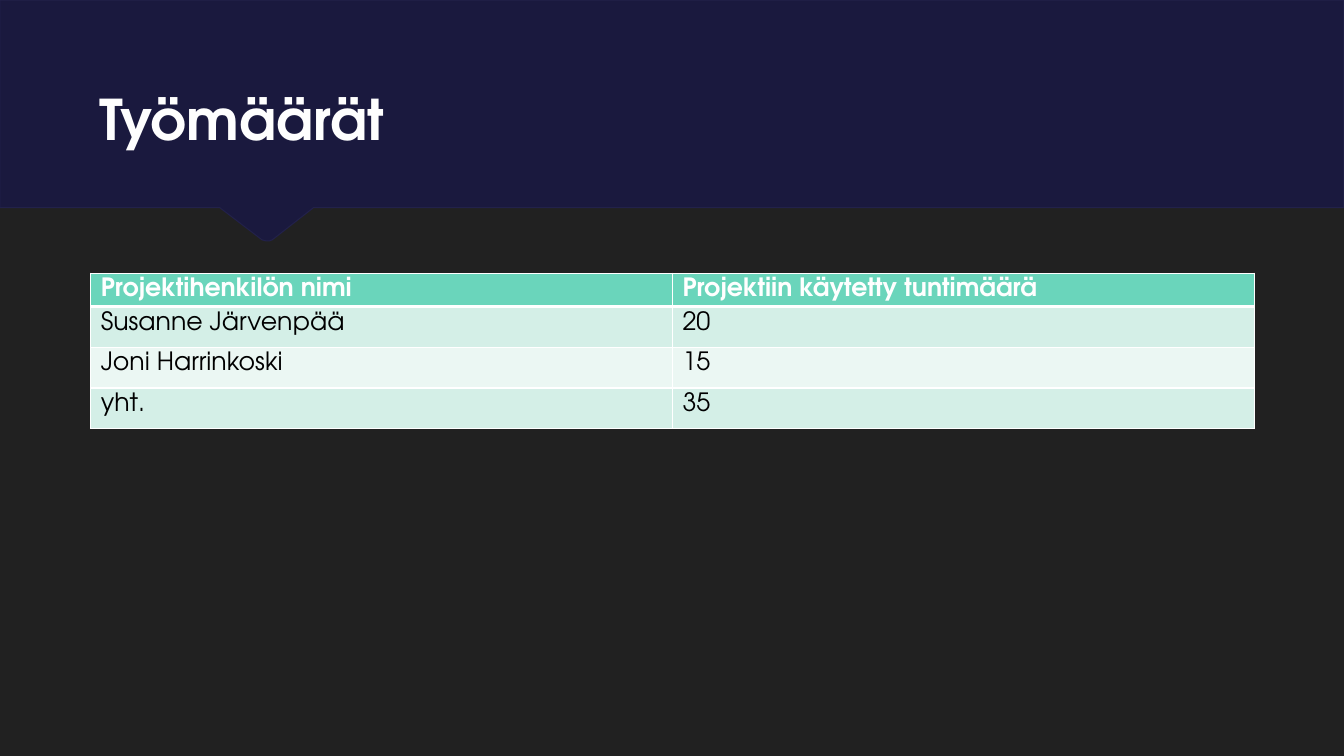
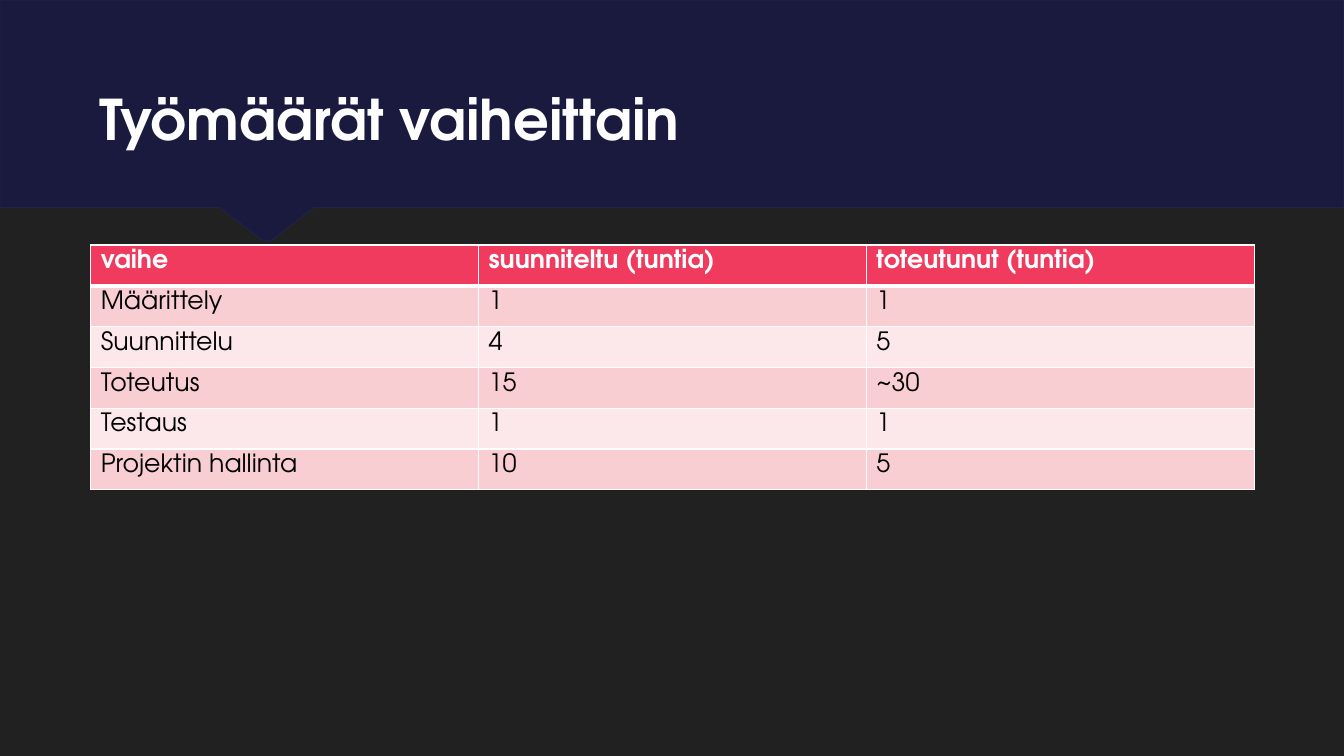
from lxml import etree
from pptx import Presentation
from pptx.dml.color import RGBColor
from pptx.enum.text import MSO_ANCHOR, PP_ALIGN
from pptx.oxml import parse_xml
from pptx.oxml.ns import qn
from pptx.util import Inches, Pt

LEFT = PP_ALIGN.LEFT
BOTTOM = MSO_ANCHOR.BOTTOM
TITLE_ONLY = 5

FONT = "TeX Gyre Adventor"
BACKGROUND = "212121"
BAND_FILL, BAND_LINE = "1A193E", "22214A"
TITLE_COLOR = "FEFEFE"
WHITE, BLACK = "FFFFFF", "000000"
# Header, odd row and even row fills
GREEN = ("6AD5BB", "D4EFE7", "EBF7F3")
RED = ("F03B5E", "F9CED2", "FCE8EA")

SLIDE_W, SLIDE_H = 13.33, 7.5
BAND_H = 2.06
TABLE_LEFT, TABLE_W = 0.9, 11.54
ROW_H = 1.62 / 4
BAND_POINTS = [
    (0, 0), (0, BAND_H), (2.18, BAND_H), (2.6, 2.38), (2.64, 2.39),
    (2.67, 2.39), (2.7, 2.38), (3.11, BAND_H), (SLIDE_W, BAND_H),
]
TITLE_SHADOW = (
    '<a:effectLst xmlns:a="http://schemas.openxmlformats.org/drawingml/2006/main">'
    '<a:outerShdw blurRad="69850" dist="43180" dir="5400000">'
    '<a:srgbClr val="000000"><a:alpha val="65000"/></a:srgbClr>'
    '</a:outerShdw></a:effectLst>'
)


def rgb(color):
    """Turn a hex string into a colour."""
    return RGBColor.from_string(color)


def fill_solid(fill, color):
    """Give a fill one plain colour."""
    fill.solid()
    fill.fore_color.rgb = rgb(color)


def style_font(font, size, color, bold):
    """Set the deck's typeface with a size, colour and weight."""
    font.name = FONT
    font.size = Pt(size)
    font.bold = bold
    font.color.rgb = rgb(color)


def set_up_layout(prs):
    """Set the shared background and title place; return the layout."""
    fill_solid(prs.slide_master.background.fill, BACKGROUND)
    layout = prs.slide_layouts[TITLE_ONLY]
    title = layout.placeholders[0]
    title.left, title.top = Inches(0.89), Inches(0.5)
    title.width, title.height = Inches(11.56), Inches(1.06)
    title.text_frame.vertical_anchor = BOTTOM
    return layout


def add_band(s):
    """Draw the notched band behind everything else."""
    builder = s.shapes.build_freeform(Inches(SLIDE_W), 0)
    builder.add_line_segments([(Inches(x), Inches(y)) for x, y in BAND_POINTS])
    band = builder.convert_to_shape()
    band.shadow.inherit = False
    fill_solid(band.fill, BAND_FILL)
    band.line.color.rgb = rgb(BAND_LINE)
    band.line.width = Pt(0.75)
    s.shapes._spTree.insert(2, band._element)


def add_titled_slide(prs, layout, text):
    """Add a slide with the band and a shadowed title."""
    s = prs.slides.add_slide(layout)
    add_band(s)
    s.shapes.title.text = text
    p = s.shapes.title.text_frame.paragraphs[0]
    p.alignment = LEFT
    style_font(p.font, 40, TITLE_COLOR, True)
    p.runs[0]._r.get_or_add_rPr().append(parse_xml(TITLE_SHADOW))
    return s


def add_borders(cell, widths):
    """Draw white cell borders; widths holds points by side."""
    tc_pr = cell._tc.get_or_add_tcPr()
    for side, width in widths.items():
        line = etree.SubElement(tc_pr, qn("a:ln" + side), w=str(Pt(width)))
        solid = etree.SubElement(line, qn("a:solidFill"))
        etree.SubElement(solid, qn("a:srgbClr"), val=WHITE)


def style_cell(cell, text, row, colors):
    """Fill in one cell as header or banded body."""
    header = row == 0
    cell.text = text
    cell.margin_top, cell.margin_bottom = Inches(0.05), 0
    p = cell.text_frame.paragraphs[0]
    style_font(p.font, 18, WHITE if header else BLACK, header)
    add_borders(cell, {"L": 1, "R": 1, "T": 3 if row == 1 else 1,
                       "B": 3 if header else 1})
    fill_solid(cell.fill, colors[0 if header else 2 - row % 2])


def add_hours_table(s, top, rows, colors, header_h=ROW_H):
    """Add a table of equal columns with a coloured header row."""
    n_rows, n_cols = len(rows), len(rows[0])
    height = header_h + ROW_H * (n_rows - 1)
    table = s.shapes.add_table(n_rows, n_cols, Inches(TABLE_LEFT), Inches(top),
                               Inches(TABLE_W), Inches(height)).table
    table.horz_banding = False
    for r, texts in enumerate(rows):
        table.rows[r].height = Inches(ROW_H if r else header_h)
        for c, text in enumerate(texts):
            style_cell(table.cell(r, c), text, r, colors)


def main():
    """Build and save the deck."""
    prs = Presentation()
    prs.slide_width, prs.slide_height = Inches(SLIDE_W), Inches(SLIDE_H)
    layout = set_up_layout(prs)

    s = add_titled_slide(prs, layout, "Työmäärät")
    add_hours_table(s, 2.71, [
        ("Projektihenkilön nimi", "Projektiin käytetty tuntimäärä"),
        ("Susanne Järvenpää", "20"),
        ("Joni Harrinkoski", "15"),
        ("yht.", "35"),
    ], GREEN, header_h=0.33)

    s = add_titled_slide(prs, layout, "Työmäärät vaiheittain")
    add_hours_table(s, 2.43, [
        ("vaihe", "suunniteltu (tuntia)", "toteutunut (tuntia)"),
        ("Määrittely", "1", "1"),
        ("Suunnittelu", "4", "5"),
        ("Toteutus", "15", "~30"),
        ("Testaus", "1", "1"),
        ("Projektin hallinta", "10", "5"),
    ], RED)

    prs.save("out.pptx")


main()
